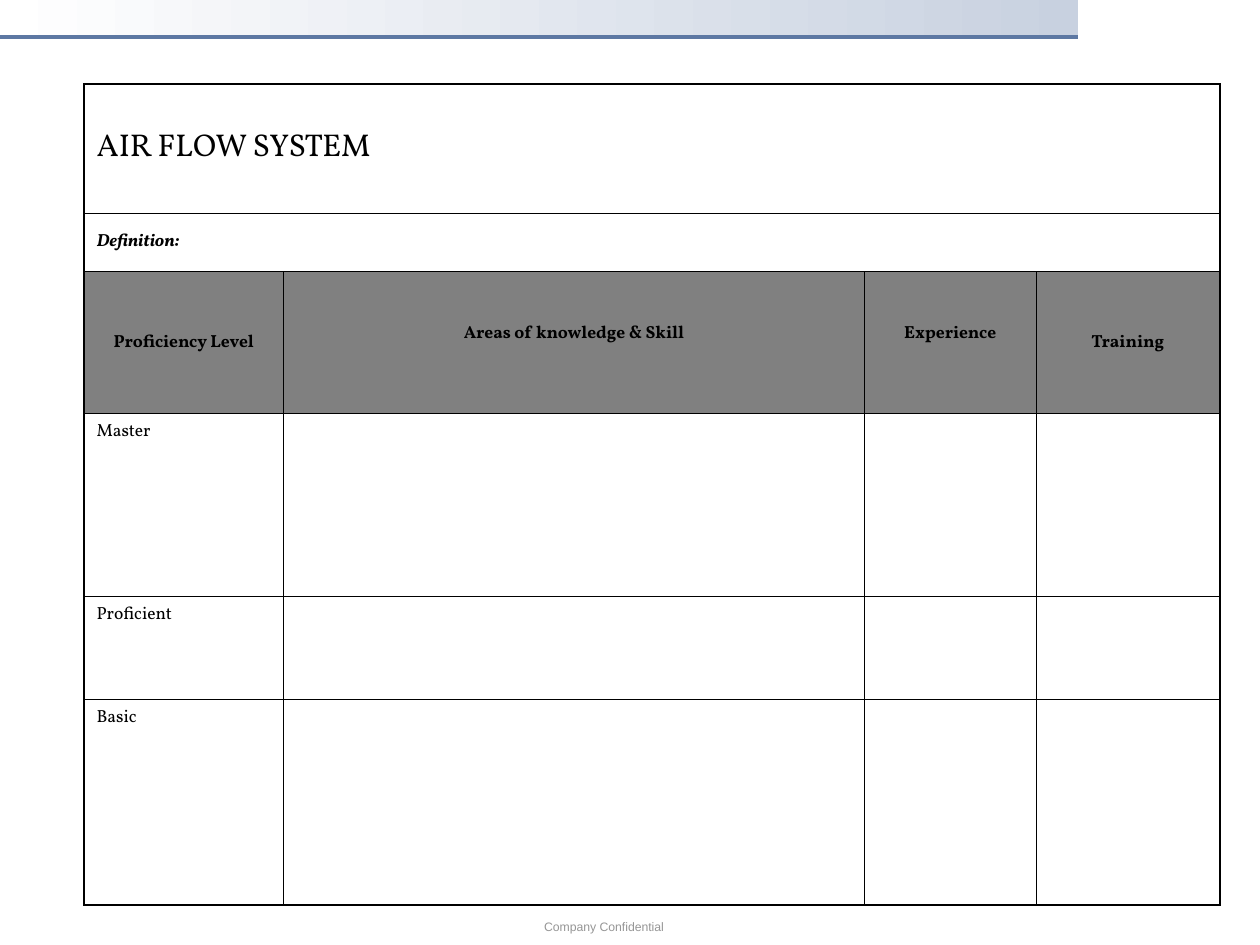
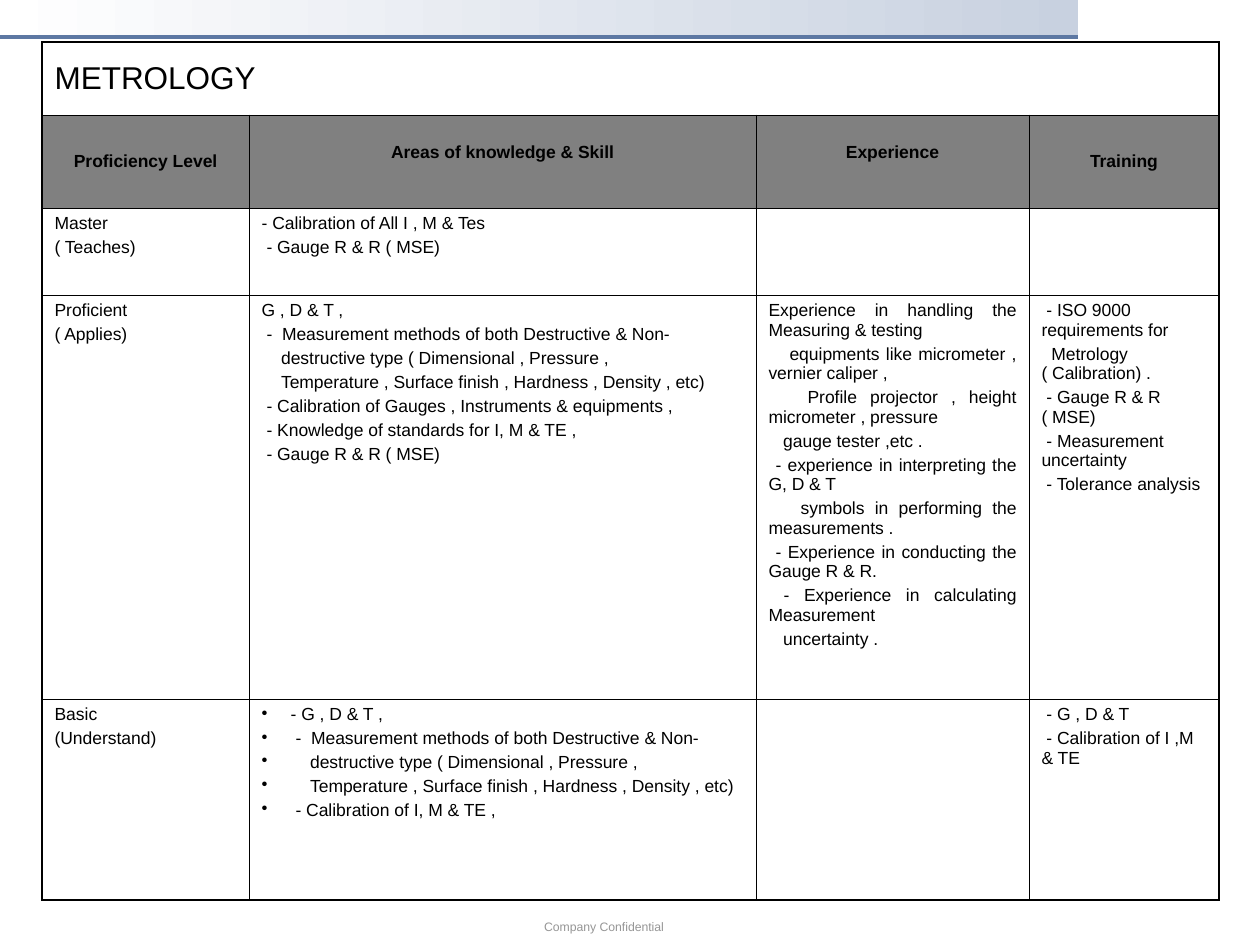
"""Build two competency-matrix slides: Air Flow System and Metrology."""
import dataclasses

import lxml.etree
import pptx
import pptx.dml.color
import pptx.enum.shapes
import pptx.enum.text
import pptx.oxml.ns
import pptx.util

Pt = pptx.util.Pt
RGB = pptx.dml.color.RGBColor.from_string
ALIGN = pptx.enum.text.PP_ALIGN
qn = pptx.oxml.ns.qn


@dataclasses.dataclass(frozen=True)
class Theme:
    ink: str = "000000"
    header_fill: str = "808080"
    band_start: str = "FFFFFF"
    band_end: str = "C8D1E0"
    rule: str = "5D78A3"
    footer: str = "969696"
    footer_font: str = "Arial"
    title_size: float = 18
    body_size: float = 10
    footer_size: float = 7
    outer_border: float = 1.08
    inner_border: float = 0.45
    bullet_gap: float = 16.6


theme = Theme()


def style_paragraph(paragraph, font_name, size, color, align=ALIGN.LEFT, bold=False, italic=False):
    paragraph.alignment = align
    font = paragraph.font
    font.name, font.size, font.bold, font.italic = font_name, Pt(size), bold, italic
    font.color.rgb = RGB(color)


def set_borders(cell, widths):
    properties = cell._tc.get_or_add_tcPr()
    for side, width in widths.items():
        border = lxml.etree.SubElement(properties, qn(f"a:ln{side}"), w=str(Pt(width)))
        fill = lxml.etree.SubElement(border, qn("a:solidFill"))
        lxml.etree.SubElement(fill, qn("a:srgbClr"), val=theme.ink)


headings = ["Proficiency Level", "Areas of knowledge & Skill", "Experience", "Training"]
raised_headings = {"Areas of knowledge & Skill", "Experience"}

# Each line of a level cell is a pair: first-line indent in points, text.
matrices = [
    {
        "font": "Vollkorn",
        "at": (48, 48),
        "columns": [114, 332, 98, 105],
        "heights": [73.7, 33.7, 81.1, 104.6, 58.9, 117.1],
        "spanning": ["AIR FLOW SYSTEM", "Definition:"],
        "levels": [[[(0, level)], [], [], []] for level in ("Master", "Proficient", "Basic")],
        "bulleted": set(),
    },
    {
        "font": "Arial",
        "at": (24, 24),
        "columns": [118.3, 289.7, 156, 108.6],
        "heights": [41.7, 53.1, 49.7, 230.9, 114.9],
        "spanning": ["METROLOGY"],
        "levels": [
            [
                [(0, "Master"), (0, "( Teaches)")],
                [(0, "- Calibration of All I , M & Tes"), (2.8, "- Gauge R & R ( MSE)")],
                [],
                [],
            ],
            [
                [(0, "Proficient"), (0, "( Applies)")],
                [
                    (0, "G , D & T ,"),
                    (2.8, "-  Measurement methods of both Destructive & Non-"),
                    (11.1, "destructive type ( Dimensional , Pressure ,"),
                    (11.1, "Temperature , Surface finish , Hardness , Density , etc)"),
                    (2.8, "- Calibration of Gauges , Instruments & equipments ,"),
                    (2.8, "- Knowledge of standards for I, M & TE ,"),
                    (2.8, "- Gauge R & R ( MSE)"),
                ],
                [
                    (0, "Experience in handling the Measuring & testing"),
                    (12, "equipments like micrometer , vernier caliper ,"),
                    (22.3, "Profile projector , height micrometer , pressure"),
                    (8.4, "gauge tester ,etc ."),
                    (4, "- experience in interpreting the G, D & T"),
                    (18.3, "symbols in performing the measurements ."),
                    (4, "- Experience in conducting the Gauge R & R."),
                    (8.6, "- Experience in calculating Measurement"),
                    (8.4, "uncertainty ."),
                ],
                [
                    (2.8, "- ISO 9000 requirements for"),
                    (5.6, "Metrology ( Calibration) ."),
                    (2.8, "- Gauge R & R ( MSE)"),
                    (2.8, "- Measurement uncertainty"),
                    (2.8, "- Tolerance analysis"),
                ],
            ],
            [
                [(0, "Basic"), (0, "(Understand)")],
                [
                    (0, "- G , D & T ,"),
                    (2.8, "-  Measurement methods of both Destructive & Non-"),
                    (11.1, "destructive type ( Dimensional , Pressure ,"),
                    (11.1, "Temperature , Surface finish , Hardness , Density , etc)"),
                    (2.8, "- Calibration of I, M & TE ,"),
                ],
                [],
                [(2.8, "- G , D & T"), (2.8, "- Calibration of I ,M & TE")],
            ],
        ],
        "bulleted": {(4, 1)},
    },
]

deck = pptx.Presentation()
deck.slide_width, deck.slide_height = Pt(720), Pt(540)

for matrix in matrices:
    slide = deck.slides.add_slide(deck.slide_layouts[6])

    band = slide.shapes.add_shape(
        pptx.enum.shapes.MSO_SHAPE.RECTANGLE, Pt(0), Pt(0), Pt(616), Pt(21)
    )
    band.shadow.inherit = False
    band.line.fill.background()
    band.fill.gradient()
    band.fill.gradient_angle = 0
    for stop, color in zip(band.fill.gradient_stops, (theme.band_start, theme.band_end)):
        stop.color.rgb = RGB(color)

    rule = slide.shapes.add_connector(
        pptx.enum.shapes.MSO_CONNECTOR.STRAIGHT, Pt(-2), Pt(21), Pt(616), Pt(21)
    )
    rule.line.color.rgb = RGB(theme.rule)
    rule.line.width = Pt(2.25)
    lxml.etree.SubElement(rule._element.spPr, qn("a:effectLst"))

    footer = slide.shapes.add_textbox(Pt(303), Pt(522), Pt(112), Pt(16)).text_frame
    footer.word_wrap = True
    footer.margin_left = footer.margin_right = Pt(7.9)
    footer.text = "Company Confidential"
    style_paragraph(footer.paragraphs[0], theme.footer_font, theme.footer_size, theme.footer)

    left, top = matrix["at"]
    columns, heights = matrix["columns"], matrix["heights"]
    last_row, last_column = len(heights) - 1, len(columns) - 1
    grid = slide.shapes.add_table(
        len(heights), len(columns), Pt(left), Pt(top), Pt(sum(columns)), Pt(sum(heights))
    ).table
    grid.first_row = grid.horz_banding = False
    for column, width in zip(grid.columns, columns):
        column.width = Pt(width)
    for row, height in zip(grid.rows, heights):
        row.height = Pt(height)

    header_row = len(matrix["spanning"])
    for r in range(header_row):
        grid.cell(r, 0).merge(grid.cell(r, last_column))

    spanning = [[[(0, text)], [], [], []] for text in matrix["spanning"]]
    header = [[[(0, heading)] for heading in headings]]
    for r, contents in enumerate(spanning + header + matrix["levels"]):
        for c, lines in enumerate(contents):
            cell = grid.cell(r, c)
            outer_edges = {
                "L": c == 0,
                "R": c == last_column or cell.is_merge_origin,
                "T": r == 0,
                "B": r == last_row,
            }
            set_borders(cell, {
                side: theme.outer_border if outer else theme.inner_border
                for side, outer in outer_edges.items()
            })
            if r == header_row:
                cell.fill.solid()
                cell.fill.fore_color.rgb = RGB(theme.header_fill)
            else:
                cell.fill.background()
            if r <= header_row:
                cell.vertical_anchor = pptx.enum.text.MSO_ANCHOR.MIDDLE
            if r == header_row and headings[c] in raised_headings:
                cell.margin_bottom = Pt(14)

            bulleted = (r, c) in matrix["bulleted"]
            if r == header_row:
                align = ALIGN.CENTER
            elif r < header_row or (c in (1, 2) and not bulleted):
                align = ALIGN.JUSTIFY
            else:
                align = ALIGN.LEFT
            size = theme.title_size if r == 0 else theme.body_size
            is_definition = 0 < r < header_row

            cell.text = "\n".join(text for _, text in lines)
            for paragraph, (indent, _) in zip(cell.text_frame.paragraphs, lines):
                paragraph.space_before = Pt(size / 4)
                style_paragraph(paragraph, matrix["font"], size, theme.ink, align,
                                bold=is_definition or r == header_row, italic=is_definition)
                properties = paragraph._p.get_or_add_pPr()
                if bulleted:
                    offset = Pt(theme.bullet_gap + indent)
                    properties.set("marL", str(offset))
                    properties.set("indent", str(-offset))
                    bullet = lxml.etree.Element(qn("a:buChar"), char="•")
                    properties.find(qn("a:defRPr")).addprevious(bullet)
                elif indent:
                    properties.set("marL", "0")
                    properties.set("indent", str(Pt(indent)))

deck.save("out.pptx")
